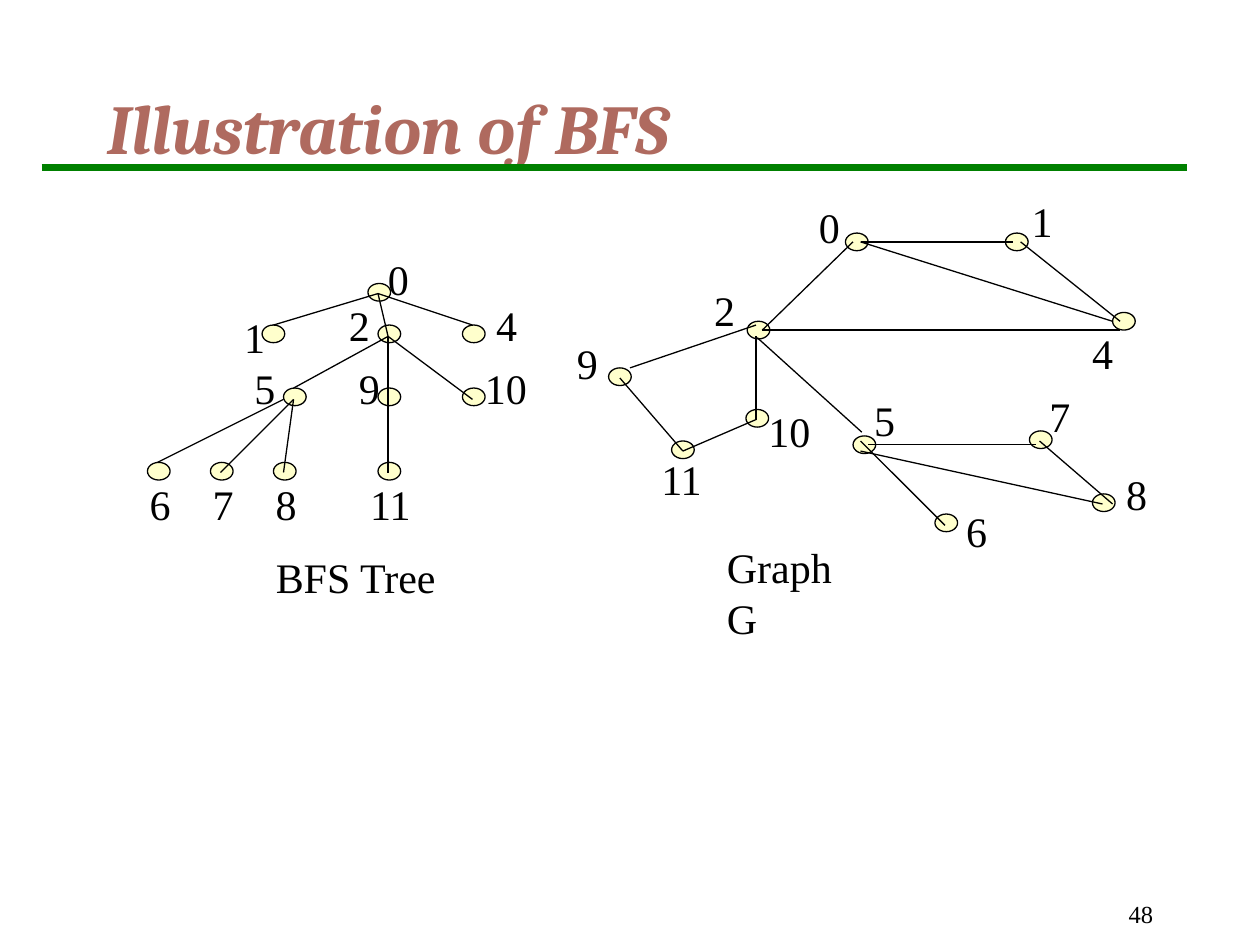
import pptx
import pptx.dml.color
import pptx.enum.shapes
import pptx.enum.text
import pptx.oxml.ns
import pptx.util
from lxml import etree
from pptx.util import Inches

BLACK = pptx.dml.color.RGBColor(0x00, 0x00, 0x00)
GREEN = pptx.dml.color.RGBColor(0x00, 0x80, 0x00)
CREAM = pptx.dml.color.RGBColor(0xFF, 0xFF, 0xCC)
ROSE = pptx.dml.color.RGBColor(0xAF, 0x6A, 0x5F)

ALIGN = pptx.enum.text.PP_ALIGN
ANCHOR = pptx.enum.text.MSO_ANCHOR
NODE_WIDTH, NODE_HEIGHT = 0.18, 0.14
LABEL_HEIGHT = 0.5
LABEL_WIDTHS = {1: 0.36, 2: 0.53}  # by number of digits

TITLE_FONT = {"name": "Cambria", "size": pptx.util.Pt(40), "bold": True, "italic": True}
LABEL_FONT = {"name": "Times New Roman", "size": pptx.util.Pt(24)}
NUMBER_FONT = {"name": "Times New Roman", "size": pptx.util.Pt(14)}

# Vertex: left and top of its node, left and top of its label
GRAPH_VERTICES = {
    "0": (6.71, 1.85, 6.4, 1.55),
    "1": (7.98, 1.85, 8.09, 1.5),
    "2": (5.93, 2.55, 5.57, 2.21),
    "4": (8.83, 2.48, 8.57, 2.55),
    "5": (6.77, 3.46, 6.84, 3.08),
    "6": (7.42, 4.08, 7.57, 3.96),
    "7": (8.17, 3.42, 8.23, 3.05),
    "8": (8.67, 3.92, 8.84, 3.67),
    "9": (4.83, 2.92, 4.48, 2.63),
    "10": (5.92, 3.25, 6, 3.17),
    "11": (5.33, 3.5, 5.15, 3.55),
}
TREE_VERTICES = {
    "0": (2.92, 2.25, 2.98, 1.96),
    "1": (2.08, 2.58, 1.84, 2.42),
    "2": (3, 2.58, 2.67, 2.33),
    "4": (3.67, 2.58, 3.84, 2.33),
    "5": (2.25, 3.08, 1.92, 2.83),
    "9": (3, 3.08, 2.75, 2.83),
    "10": (3.67, 3.08, 3.75, 2.83),
    "6": (1.17, 3.67, 1.09, 3.75),
    "7": (1.67, 3.67, 1.59, 3.75),
    "8": (2.17, 3.67, 2.09, 3.75),
    "11": (3, 3.67, 2.84, 3.75),
}
# Edge: start x and y, end x and y
GRAPH_EDGES = [
    (6.83, 1.92, 8.04, 1.92),  # 0-1
    (6.05, 2.62, 8.89, 2.62),  # 2-4
    (6.05, 2.62, 6.77, 1.92),  # 2-0
    (8.1, 1.92, 8.89, 2.55),  # 1-4
    (6.89, 3.53, 8.22, 3.53),  # 5-7
    (6.83, 1.92, 8.83, 2.55),  # 0-4
    (6.84, 3.43, 6.01, 2.68),  # 5-2
    (8.25, 3.5, 8.83, 4),  # 7-8
    (6.83, 3.5, 7.5, 4.17),  # 5-6
    (6.83, 3.58, 8.75, 4),  # 5-8
    (6, 2.58, 5, 2.92),  # 2-9
    (6, 2.67, 6, 3.33),  # 2-10
    (4.92, 3, 5.42, 3.58),  # 9-11
    (6, 3.33, 5.42, 3.58),  # 10-11
]
TREE_EDGES = [
    (3, 2.33, 2.17, 2.58),  # 0-1
    (3, 2.33, 3.08, 2.67),  # 0-2
    (3, 2.33, 3.75, 2.58),  # 0-4
    (2.33, 3.08, 3.08, 2.67),  # 5-2
    (3.08, 3.17, 3.08, 2.67),  # 9-2
    (3.75, 3.17, 3.08, 2.67),  # 10-2
    (2.25, 3.17, 1.25, 3.67),  # 5-6
    (2.33, 3.17, 1.75, 3.75),  # 5-7
    (2.33, 3.17, 2.25, 3.75),  # 5-8
    (3.08, 3.17, 3.08, 3.75),  # 9-11
]
DIAGRAMS = [
    (GRAPH_VERTICES, GRAPH_EDGES, "Graph G", (5.67, 4.25, 1.35)),
    (TREE_VERTICES, TREE_EDGES, "BFS Tree", (2.09, 4.33, 1.48)),
]


def write_text(shape, text, font_format, color, align=ALIGN.LEFT, anchor=ANCHOR.TOP, wrap=False):
    frame = shape.text_frame
    frame.word_wrap = wrap
    frame.vertical_anchor = anchor
    paragraph = frame.paragraphs[0]
    paragraph.alignment = align
    run = paragraph.add_run()
    run.text = text
    for name, value in font_format.items():
        setattr(run.font, name, value)
    run.font.color.rgb = color


def add_line(slide, ends, color, width):
    connector = slide.shapes.add_connector(
        pptx.enum.shapes.MSO_CONNECTOR.STRAIGHT, *map(Inches, ends))
    connector.line.color.rgb = color
    connector.line.width = pptx.util.Pt(width)
    properties = connector._element.spPr
    etree.SubElement(properties, pptx.oxml.ns.qn("a:effectLst"))


presentation = pptx.Presentation()
presentation.slide_width = Inches(10)
presentation.slide_height = Inches(7.5)
slide = presentation.slides.add_slide(presentation.slide_layouts[5])

add_line(slide, (0.33, 1.33, 9.42, 1.33), GREEN, 4)

title = slide.shapes.title
title.left, title.top = Inches(0.75), Inches(0.67)
title.width, title.height = Inches(8.5), Inches(0.67)
write_text(title, "Illustration of BFS", TITLE_FONT, ROSE, anchor=ANCHOR.MIDDLE, wrap=True)

slide_number = slide.shapes.add_textbox(Inches(7.17), Inches(6.92), Inches(2.08), Inches(0.5))
write_text(slide_number, "48", NUMBER_FONT, BLACK, ALIGN.RIGHT, ANCHOR.BOTTOM, wrap=True)

for vertices, edges, caption, caption_place in DIAGRAMS:
    for node_left, node_top, _, _ in vertices.values():
        node = slide.shapes.add_shape(
            pptx.enum.shapes.MSO_SHAPE.OVAL, Inches(node_left), Inches(node_top),
            Inches(NODE_WIDTH), Inches(NODE_HEIGHT))
        node.shadow.inherit = False
        node.fill.solid()
        node.fill.fore_color.rgb = CREAM
        node.line.color.rgb = BLACK
        node.line.width = pptx.util.Pt(0.75)

    for edge in edges:
        add_line(slide, edge, BLACK, 0.75)

    labels = [(text, (left, top, LABEL_WIDTHS[len(text)]))
              for text, (_, _, left, top) in vertices.items()]
    for text, place in labels + [(caption, caption_place)]:
        label = slide.shapes.add_textbox(*map(Inches, place), Inches(LABEL_HEIGHT))
        write_text(label, text, LABEL_FONT, BLACK)

presentation.save("out.pptx")
